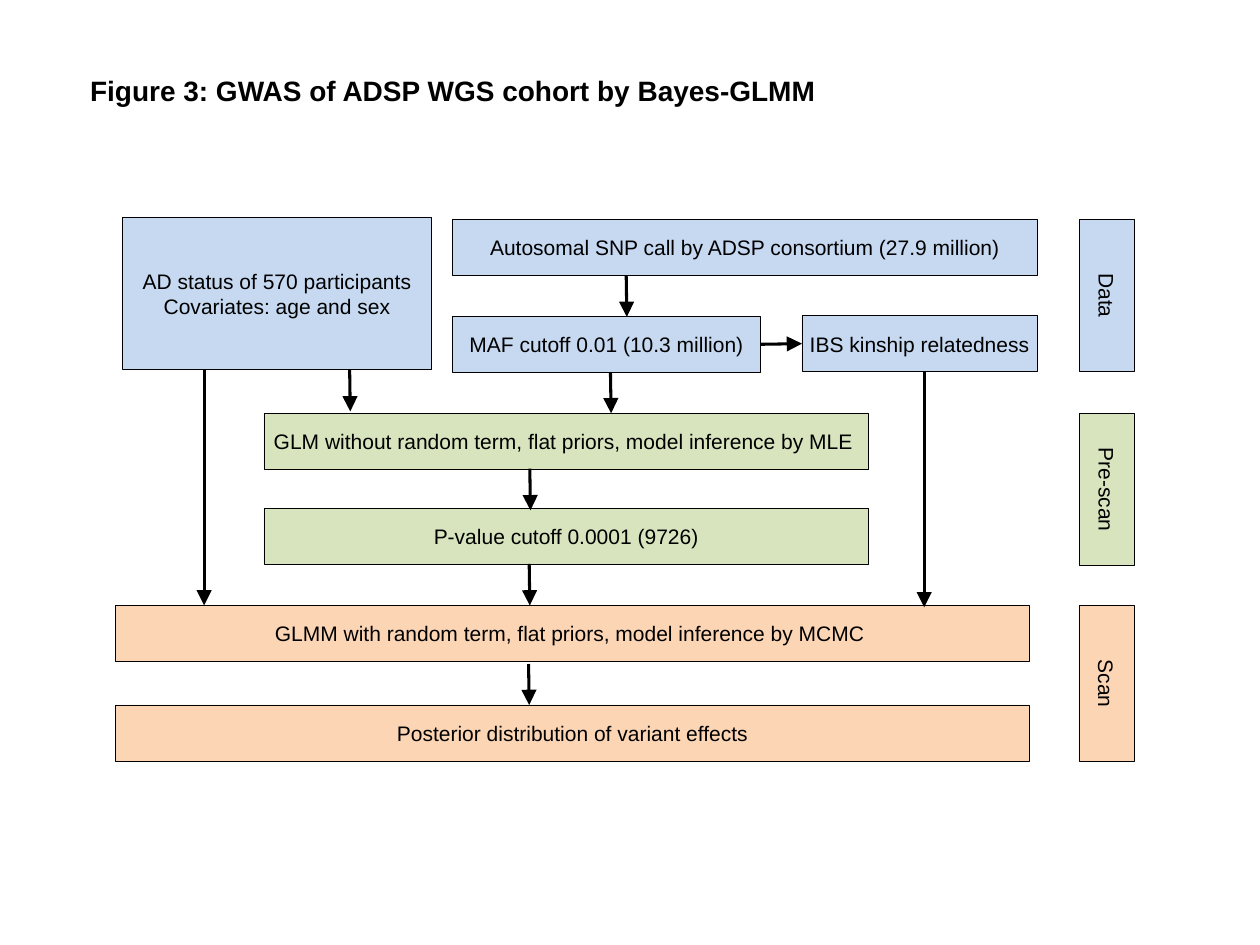
import pptx
import pptx.util
import pptx.dml.color
import pptx.enum.shapes
import pptx.enum.text
import pptx.oxml
import pptx.oxml.ns
from pptx.util import Inches

BLUE, GREEN, ORANGE, BLACK = "C6D9F1", "D7E4BD", "FCD5B5", "000000"


def color(hex_code):
    return pptx.dml.color.RGBColor.from_string(hex_code)


def add_span(para, text, size, bold=False):
    span = para.add_run()
    span.text = text
    span.font.name = "Arial"
    span.font.size = pptx.util.Pt(size)
    span.font.bold = bold
    span.font.color.rgb = color(BLACK)


deck = pptx.Presentation()
deck.slide_width = Inches(20)
deck.slide_height = Inches(15)
page = deck.slides.add_slide(deck.slide_layouts[6])

# Title
title = page.shapes.add_textbox(Inches(1.23), Inches(1.07), Inches(12.35), Inches(0.74))
frame = title.text_frame
frame.word_wrap = False
frame.auto_size = pptx.enum.text.MSO_AUTO_SIZE.SHAPE_TO_FIT_TEXT
frame.margin_left = frame.margin_right = Inches(0.2)
frame.margin_top = frame.margin_bottom = Inches(0.1)
add_span(frame.paragraphs[0], "Figure 3: GWAS of ADSP WGS cohort by Bayes-GLMM", 32, True)

# Step boxes and rotated stage labels: key, left, top, width, height, rotation, fill, lines
BOXES = [
    ("SNP call", 7.18, 3.48, 9.28, 0.89, 0, BLUE,
     ["Autosomal SNP call by ADSP consortium (27.9 million)"]),
    ("MAF cutoff", 7.18, 5.02, 4.89, 0.89, 0, BLUE, ["MAF cutoff 0.01 (10.3 million)"]),
    ("AD status", 1.94, 3.45, 4.91, 2.42, 0, BLUE,
     ["AD status of 570 participants", "Covariates: age and sex"]),
    ("Kinship", 12.73, 5.01, 3.73, 0.89, 0, BLUE, ["IBS kinship relatedness"]),
    ("GLM", 4.19, 6.56, 9.59, 0.89, 0, GREEN,
     ["GLM without random term, flat priors, model inference by MLE "]),
    ("P-value cutoff", 4.19, 8.07, 9.59, 0.89, 0, GREEN, ["P-value cutoff 0.0001 (9726)"]),
    ("GLMM", 1.83, 9.61, 14.51, 0.89, 0, ORANGE,
     ["GLMM with random term, flat priors, model inference by MCMC "]),
    ("Posterior", 1.83, 11.19, 14.51, 0.89, 0, ORANGE,
     ["Posterior distribution of variant effects"]),
    ("Data stage", 16.36, 4.25, 2.42, 0.88, 90, BLUE, ["Data"]),
    ("Pre-scan stage", 16.36, 7.33, 2.42, 0.88, 90, GREEN, ["Pre-scan"]),
    ("Scan stage", 16.33, 10.41, 2.47, 0.88, 90, ORANGE, ["Scan"]),
]
boxes = {}
for key, left, top, width, height, rotation, fill, lines in BOXES:
    box = page.shapes.add_shape(pptx.enum.shapes.MSO_SHAPE.RECTANGLE,
                                Inches(left), Inches(top), Inches(width), Inches(height))
    box.rotation = rotation
    box.shadow.inherit = False
    box.fill.solid()
    box.fill.fore_color.rgb = color(fill)
    box.line.color.rgb = color(BLACK)
    box.line.width = pptx.util.Pt(0.75)
    frame = box.text_frame
    frame.word_wrap = True
    frame.vertical_anchor = pptx.enum.text.MSO_ANCHOR.MIDDLE
    for index, line in enumerate(lines):
        para = frame.add_paragraph() if index else frame.paragraphs[0]
        para.alignment = pptx.enum.text.PP_ALIGN.CENTER
        add_span(para, line, 24)
    boxes[key] = box

# Arrows: start x, start y, end x, end y
ARROWS = [
    (12.08, 5.46, 12.73, 5.46),  # MAF cutoff to kinship
    (9.94, 4.37, 9.95, 5.03),
    (5.55, 5.87, 5.56, 6.53),
    (9.69, 5.91, 9.7, 6.56),
    (8.41, 7.44, 8.42, 8.1),
    (3.24, 5.87, 3.24, 9.61),
    (8.4, 8.95, 8.41, 9.61),
    (14.67, 5.9, 14.67, 9.64),
    (8.39, 10.54, 8.4, 11.19),
]
arrows = []
for ends in ARROWS:
    arrow = page.shapes.add_connector(pptx.enum.shapes.MSO_CONNECTOR.STRAIGHT,
                                      *[Inches(value) for value in ends])
    arrow.line.color.rgb = color(BLACK)
    arrow.line.width = pptx.util.Pt(3.5)
    properties = arrow.element.spPr
    properties.find(pptx.oxml.ns.qn("a:ln")).append(pptx.oxml.parse_xml(
        '<a:tailEnd %s type="triangle" w="lg" len="lg"/>' % pptx.oxml.ns.nsdecls("a")))
    properties.append(
        pptx.oxml.parse_xml("<a:effectLst %s/>" % pptx.oxml.ns.nsdecls("a")))
    arrows.append(arrow)

# Join the horizontal arrow to the sides it touches
arrows[0].begin_connect(boxes["MAF cutoff"], 3)
arrows[0].end_connect(boxes["Kinship"], 1)

deck.save("out.pptx")
